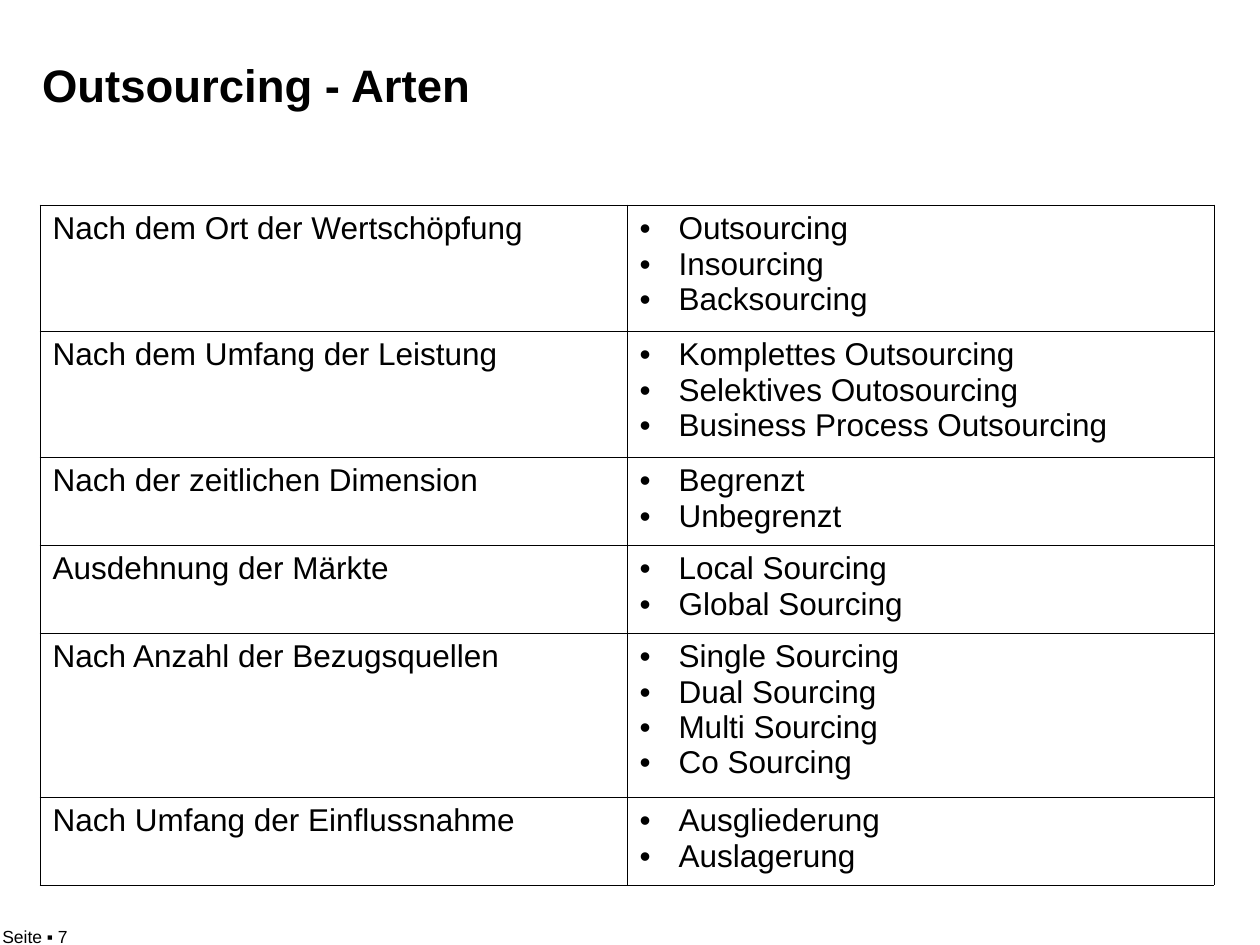
import pptx
import pptx.util
import pptx.dml.color
import pptx.enum.text
import pptx.oxml
import pptx.oxml.ns

TITLE = "Outsourcing - Arten"
FOOTER = "Seite ▪ 7"
ROWS = [
    ("Nach dem Ort der Wertschöpfung",
     ["Outsourcing", "Insourcing", "Backsourcing"]),
    ("Nach dem Umfang der Leistung",
     ["Komplettes Outsourcing", "Selektives Outosourcing",
      "Business Process Outsourcing"]),
    ("Nach der zeitlichen Dimension", ["Begrenzt", "Unbegrenzt"]),
    ("Ausdehnung der Märkte", ["Local Sourcing", "Global Sourcing"]),
    ("Nach Anzahl der Bezugsquellen",
     ["Single Sourcing", "Dual Sourcing", "Multi Sourcing", "Co Sourcing"]),
    ("Nach Umfang der Einflussnahme", ["Ausgliederung", "Auslagerung"]),
]

BLACK = pptx.dml.color.RGBColor(0, 0, 0)
FONT = "Arial"
COL_W, LINE_H, ROW_PAD = 587, 38, 12
INDENT = 39
BORDER = pptx.util.Pt(0.45)


def px(n):
    return pptx.util.Emu(round(n * 914400 / 126))


def style(p, size, bold=False):
    p.alignment = pptx.enum.text.PP_ALIGN.LEFT
    p.font.name = FONT
    p.font.size = pptx.util.Pt(size)
    p.font.bold = bold
    p.font.color.rgb = BLACK


def add_xml(parent, xml):
    ns = pptx.oxml.ns.nsdecls("a")
    parent.append(pptx.oxml.parse_xml(xml.replace(" ", f" {ns} ", 1)))


def add_bullet(p):
    pPr = p._p.get_or_add_pPr()
    pPr.set("marL", str(px(INDENT)))
    pPr.set("indent", str(-px(INDENT)))
    add_xml(pPr, '<a:buFont typeface="Arial"/>')
    add_xml(pPr, '<a:buChar char="•"/>')


def fill_cell(cell, lines, bulleted):
    tf = cell.text_frame
    for i, line in enumerate(lines):
        p = tf.paragraphs[0] if i == 0 else tf.add_paragraph()
        p.text = line
        if bulleted:
            add_bullet(p)
        style(p, 18)
    tcPr = cell._tc.get_or_add_tcPr()
    for side in ("lnL", "lnR", "lnT", "lnB"):
        add_xml(tcPr, f'<a:{side} w="{BORDER}"><a:solidFill>'
                      f'<a:srgbClr val="{BLACK}"/></a:solidFill></a:{side}>')
    cell.fill.background()


prs = pptx.Presentation()
prs.slide_width, prs.slide_height = px(1260), px(945)
s = prs.slides.add_slide(prs.slide_layouts[5])

# Title
title = s.shapes.title
title.left, title.top, title.width, title.height = px(42), px(57), px(1052), px(89)
tf = title.text_frame
tf.text = TITLE
tf.auto_size = pptx.enum.text.MSO_AUTO_SIZE.NONE
tf.vertical_anchor = pptx.enum.text.MSO_ANCHOR.TOP
tf.margin_left = tf.margin_right = 0
tf.paragraphs[0].line_spacing = 0.9
style(tf.paragraphs[0], 26, bold=True)

# Table of outsourcing types, each row as tall as its list
heights = [LINE_H * len(kinds) + ROW_PAD for _, kinds in ROWS]
table = s.shapes.add_table(len(ROWS), 2, px(40), px(205),
                           px(2 * COL_W), px(sum(heights))).table
table.first_row = table.horz_banding = False
for col in table.columns:
    col.width = px(COL_W)
for r, (criterion, kinds) in enumerate(ROWS):
    table.rows[r].height = px(heights[r])
    fill_cell(table.cell(r, 0), [criterion], bulleted=False)
    fill_cell(table.cell(r, 1), kinds, bulleted=True)

# Page number
tf = s.shapes.add_textbox(px(-10), px(920), px(185), px(34)).text_frame
tf.word_wrap = True
tf.text = FOOTER
style(tf.paragraphs[0], 10)

prs.save("out.pptx")
